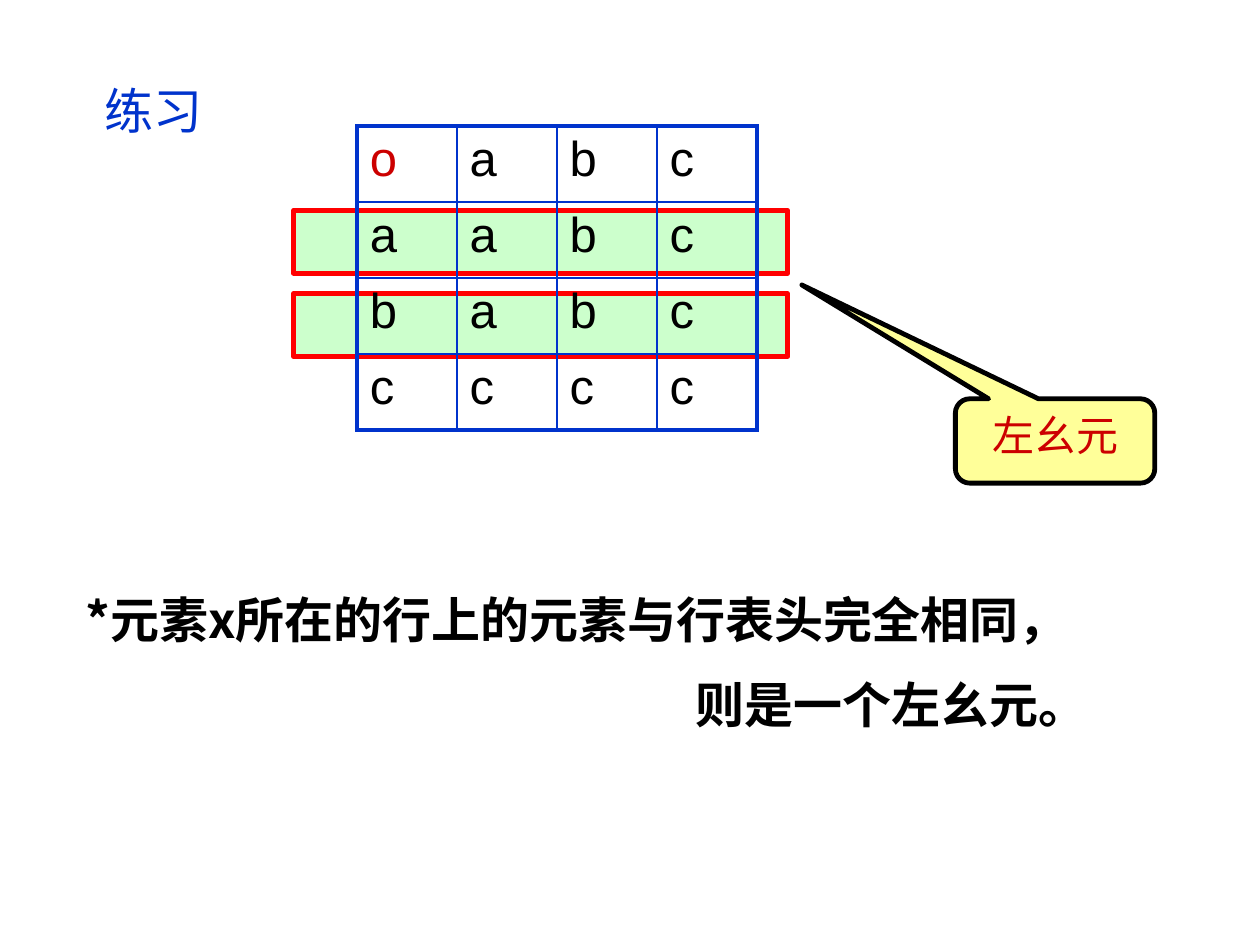
from dataclasses import dataclass

from lxml import etree
from pptx import Presentation
from pptx.dml.color import RGBColor
from pptx.enum.shapes import MSO_SHAPE
from pptx.enum.text import MSO_ANCHOR, MSO_AUTO_SIZE, PP_ALIGN
from pptx.oxml.ns import qn
from pptx.util import Cm, Pt

RECTANGLE = MSO_SHAPE.RECTANGLE
CALLOUT = MSO_SHAPE.ROUNDED_RECTANGULAR_CALLOUT
TOP = MSO_ANCHOR.TOP
LEFT, CENTER = PP_ALIGN.LEFT, PP_ALIGN.CENTER
FIT_SHAPE = MSO_AUTO_SIZE.SHAPE_TO_FIT_TEXT


@dataclass(frozen=True)
class Theme:
    blue: str = "0033CC"
    dark_red: str = "CC0000"
    red: str = "FF0000"
    green: str = "CCFFCC"
    yellow: str = "FFFF99"
    black: str = "000000"
    body: float = 28
    label: float = 24
    outline: float = 2.75
    frame: float = 2.25
    grid: float = 1
    latin: str = "Arial"
    chinese: str = "Noto Sans CJK JP"


THEME = Theme()


def write(paragraph, text, color=THEME.black, size=THEME.body, font=THEME.latin,
          east_asian=None, bold=False, align=LEFT, line_spacing=None, indent=0):
    paragraph.alignment = align
    if line_spacing:
        paragraph.line_spacing = line_spacing
    if indent:
        properties = paragraph._p.get_or_add_pPr()
        properties.set("marL", str(Cm(indent)))
        properties.set("indent", "0")
    run = paragraph.add_run()
    run.text = text
    run.font.name = font
    run.font.size = Pt(size)
    run.font.bold = bold
    run.font.color.rgb = RGBColor.from_string(color)
    if east_asian:
        etree.SubElement(run.font._element, qn("a:ea"), typeface=east_asian)


def add_outlined(slide, preset, box, fill, line):
    outlined = slide.shapes.add_shape(preset, *map(Cm, box))
    outlined.shadow.inherit = False
    outlined.fill.solid()
    outlined.fill.fore_color.rgb = RGBColor.from_string(fill)
    outlined.line.color.rgb = RGBColor.from_string(line)
    outlined.line.width = Pt(THEME.outline)
    return outlined


def add_text_frame(slide, box, wrap):
    frame = slide.shapes.add_textbox(*map(Cm, box)).text_frame
    frame.word_wrap = wrap
    frame.auto_size = FIT_SHAPE
    return frame


def set_borders(cell, widths):
    properties = cell._tc.get_or_add_tcPr()
    for position, (side, width) in enumerate(widths.items()):
        border = etree.Element(qn(f"a:{side}"), w=str(Pt(width)))
        fill = etree.SubElement(border, qn("a:solidFill"))
        etree.SubElement(fill, qn("a:srgbClr"), val=THEME.blue)
        properties.insert(position, border)


def add_heading(slide, box):
    frame = add_text_frame(slide, box, wrap=False)
    write(frame.paragraphs[0], "练习", color=THEME.blue)


def add_identity_rows(slide, box):
    left, top, width, height = box
    band_height, step = 1.27, height - 1.27
    for index in (1, 0):
        add_outlined(slide, RECTANGLE, (left, top + index * step, width, band_height),
                     THEME.green, THEME.red)


def add_operation_table(slide, box, rows):
    last = len(rows) - 1
    table = slide.shapes.add_table(len(rows), len(rows[0]), *map(Cm, box)).table
    table.first_row = table.horz_banding = False
    for r, symbols in enumerate(rows):
        for c, symbol in enumerate(symbols):
            cell = table.cell(r, c)
            cell.fill.background()
            cell.vertical_anchor = TOP
            color = THEME.dark_red if r == c == 0 else THEME.black
            write(cell.text_frame.paragraphs[0], symbol, color=color)
            on_frame = {"lnL": c == 0, "lnR": c == last, "lnT": r == 0, "lnB": r == last}
            set_borders(cell, {side: THEME.frame if outer else THEME.grid
                               for side, outer in on_frame.items()})


def add_identity_callout(slide, box):
    callout = add_outlined(slide, CALLOUT, box, THEME.yellow, THEME.black)
    for index, value in enumerate((-1.27, -1.85, 0.17)):
        callout.adjustments[index] = value
    callout.text_frame.word_wrap = True
    callout.text_frame.vertical_anchor = TOP
    write(callout.text_frame.paragraphs[0], "左幺元", color=THEME.dark_red,
          size=THEME.label, align=CENTER)


def add_conclusion(slide, box):
    frame = add_text_frame(slide, box, wrap=True)
    lines = (("*元素x所在的行上的元素与行表头完全相同，", 0), ("则是一个左幺元。", 12.3))
    for index, (text, indent) in enumerate(lines):
        paragraph = frame.add_paragraph() if index else frame.paragraphs[0]
        write(paragraph, text, font=THEME.chinese, east_asian=THEME.chinese,
              bold=True, line_spacing=1.45, indent=indent)


def build_exercise_slide(presentation):
    slide = presentation.slides.add_slide(presentation.slide_layouts[6])
    add_identity_rows(slide, (5.92, 4.24, 9.96, 2.95))
    add_heading(slide, (1.85, 1.5, 2.49, 1.45))
    add_operation_table(slide, (7.2, 2.54, 8.06, 6.13), ("oabc", "aabc", "babc", "cccc"))
    add_identity_callout(slide, (19.26, 8.04, 4.02, 1.7))
    add_conclusion(slide, (1.48, 11.22, 22.86, 3.68))


deck = Presentation()
deck.slide_width, deck.slide_height = Cm(25.4), Cm(19.05)
build_exercise_slide(deck)
deck.save("out.pptx")
